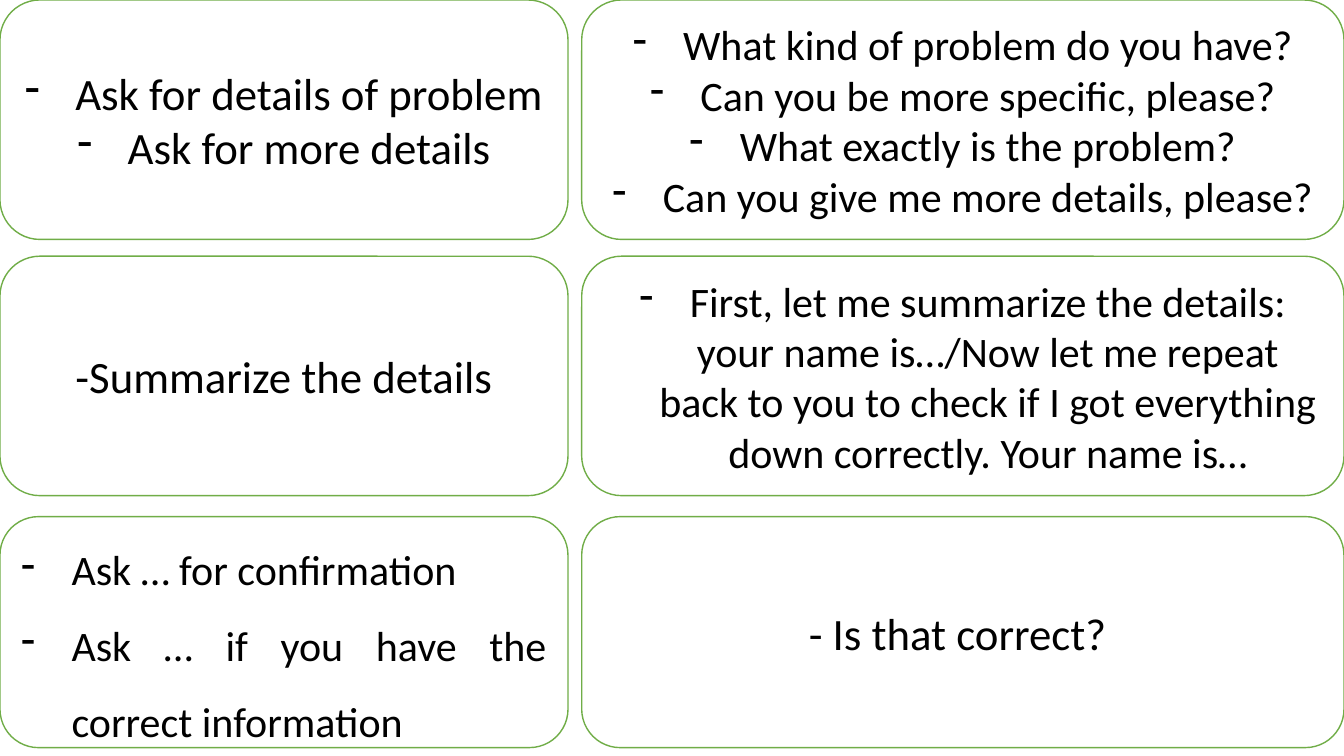
from lxml.etree import SubElement
from pptx import Presentation
from pptx.dml.color import RGBColor
from pptx.enum.shapes import MSO_SHAPE
from pptx.enum.text import MSO_ANCHOR, PP_ALIGN
from pptx.oxml.ns import qn
from pptx.util import Pt

PX = 9525  # EMU per px, 96 px to the inch
INDENT = 48
GREEN, WHITE, BLACK = "70AD47", "FFFFFF", "000000"

# Columns are (left, width), rows are (top, height)
PROMPTS, PHRASES = (0, 541), (554, 726)
ROWS = [(0, 228), (244, 228), (492, 220)]

CENTERED = {"alignment": PP_ALIGN.CENTER}
JUSTIFIED = {"alignment": PP_ALIGN.JUSTIFY, "line_spacing": 1.5}

# Column, row, text size, dash bullets, paragraph format, lines
CARDS = [
    (PROMPTS, ROWS[0], 32, True, CENTERED,
     ["Ask for details of problem", "Ask for more details"]),
    (PHRASES, ROWS[0], 30, True, CENTERED,
     ["What kind of problem do you have?",
      "Can you be more specific, please?",
      "What exactly is the problem?",
      "Can you give me more details, please?"]),
    (PROMPTS, ROWS[1], 32, False, CENTERED, ["-Summarize the details"]),
    (PHRASES, ROWS[1], 30, True, CENTERED,
     ["First, let me summarize the details: your name is…/Now let me repeat "
      "back to you to check if I got everything down correctly. "
      "Your name is…"]),
    (PROMPTS, ROWS[2], 30, True, JUSTIFIED,
     ["Ask … for confirmation",
      "Ask … if you have the correct information"]),
    (PHRASES, ROWS[2], 32, False, CENTERED, ["- Is that correct? "]),
]


def px(n):
    return n * PX


def color(hex_string):
    return RGBColor.from_string(hex_string)


def add_dash(p):
    """Give a paragraph a hanging dash bullet in the font of its text."""
    pPr = p._p.get_or_add_pPr()
    pPr.set("marL", str(px(INDENT)))
    pPr.set("indent", str(-px(INDENT)))
    SubElement(pPr, qn("a:buFontTx"))
    SubElement(pPr, qn("a:buChar")).set("char", "-")


def add_line(p, text, size, dashed, fmt):
    for name, value in fmt.items():
        setattr(p, name, value)
    if dashed:
        add_dash(p)
    r = p.add_run()
    r.text = text
    for name, value in {"name": "Calibri", "size": Pt(size)}.items():
        setattr(r.font, name, value)
    r.font.color.rgb = color(BLACK)


def add_card(s, column, row, size, dashed, fmt, lines):
    (left, width), (top, height) = column, row
    sp = s.shapes.add_shape(MSO_SHAPE.ROUNDED_RECTANGLE,
                            px(left), px(top), px(width), px(height))
    sp.shadow.inherit = False
    sp.fill.solid()
    sp.fill.fore_color.rgb = color(WHITE)
    sp.line.color.rgb = color(GREEN)
    sp.line.width = Pt(1)
    tf = sp.text_frame
    tf.word_wrap = True
    tf.vertical_anchor = MSO_ANCHOR.MIDDLE
    for i, text in enumerate(lines):
        p = tf.add_paragraph() if i else tf.paragraphs[0]
        add_line(p, text, size, dashed, fmt)


def main():
    prs = Presentation()
    prs.slide_width, prs.slide_height = px(1280), px(720)
    s = prs.slides.add_slide(prs.slide_layouts[6])
    # Prompts on the left, matching phrases on the right
    for card in CARDS:
        add_card(s, *card)
    prs.save("out.pptx")


if __name__ == "__main__":
    main()
